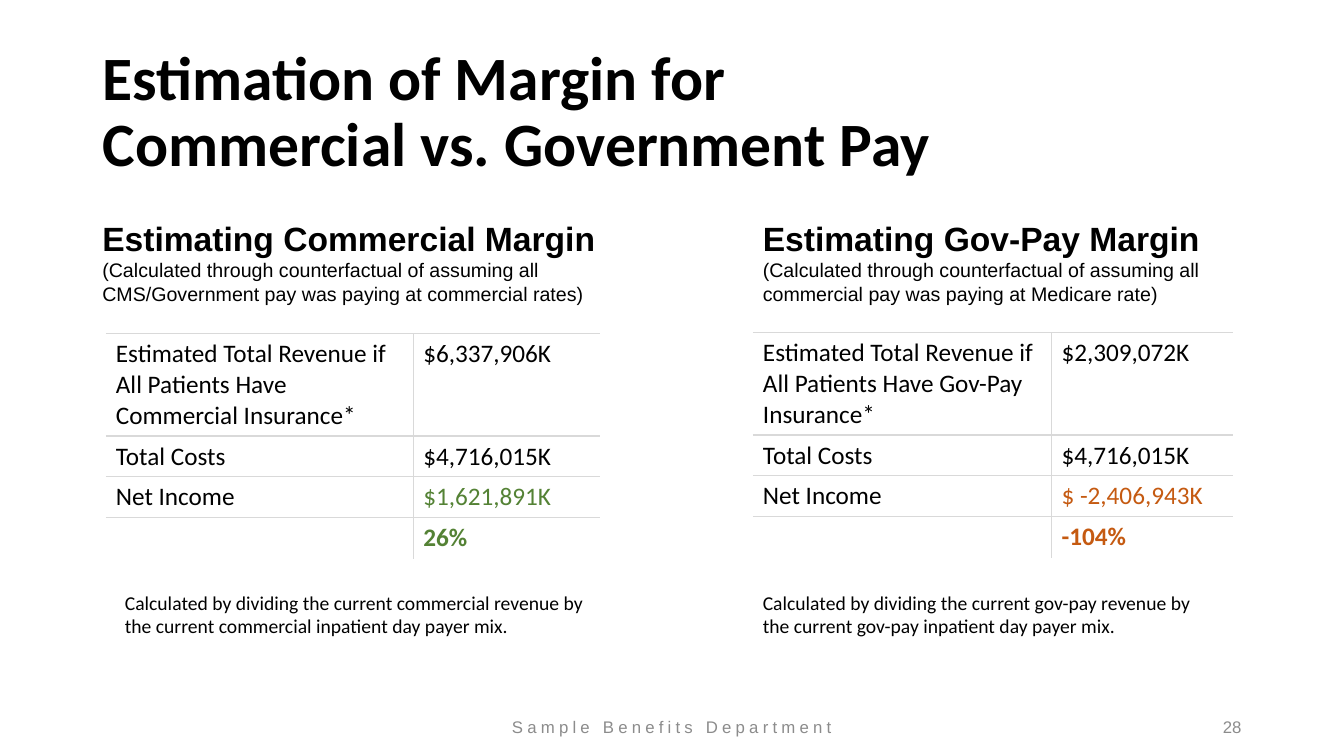
from dataclasses import dataclass

from lxml.etree import SubElement
from pptx import Presentation
from pptx.dml.color import RGBColor
from pptx.enum.text import MSO_ANCHOR as Anchor, MSO_AUTO_SIZE as AutoSize, PP_ALIGN as Align
from pptx.oxml.ns import qn
from pptx.slide import Slide
from pptx.util import Pt


@dataclass(frozen=True)
class Theme:
    heading_font: str = "Arial"
    body_font: str = "Calibri"
    ink: str = "000000"
    muted: str = "8C8C8C"
    rule: str = "D9D9D9"
    gain: str = "548235"
    loss: str = "C55A11"
    title_size: float = 44
    heading_size: float = 24
    table_size: float = 18
    note_size: float = 14
    footer_size: float = 12


THEME = Theme()


@dataclass(frozen=True)
class Area:
    left: float
    top: float
    width: float
    height: float

    def lengths(self) -> tuple:
        return Pt(self.left), Pt(self.top), Pt(self.width), Pt(self.height)


@dataclass(frozen=True)
class Line:
    text: str
    size: float
    font: str
    color: str = THEME.ink
    bold: bool = False


@dataclass(frozen=True)
class MarginPanel:
    heading: str
    method: str
    heading_area: Area
    revenue_label: str
    revenue: str
    net_income: str
    margin: str
    result_color: str
    table_area: Area
    label_width: float
    note: str
    note_area: Area


TITLE_AREA = Area(66, 28.8, 828, 104.4)
FOOTER_AREA = Area(318, 509.8, 324, 19.4)
NUMBER_AREA = Area(678, 509.8, 216, 19.4)
ROW_HEIGHTS = (72.8, 29.2, 29.2, 29.2)
TOTAL_COSTS = "$4,716,015K"

PANELS = (
    MarginPanel(
        heading="Estimating Commercial Margin",
        method="(Calculated through counterfactual of assuming all "
               "CMS/Government pay was paying at commercial rates)",
        heading_area=Area(66, 152, 373.6, 70.6),
        revenue_label="Estimated Total Revenue if All Patients Have Commercial Insurance*",
        revenue="$6,337,906K",
        net_income="$1,621,891K",
        margin="26%",
        result_color=THEME.gain,
        table_area=Area(75.6, 238.3, 353, 160.4),
        label_width=219.6,
        note="Calculated by dividing the current commercial revenue by "
             "the current commercial inpatient day payer mix.",
        note_area=Area(82.1, 418.4, 346.4, 41),
    ),
    MarginPanel(
        heading="Estimating Gov-Pay Margin",
        method="(Calculated through counterfactual of assuming all "
               "commercial pay was paying at Medicare rate)",
        heading_area=Area(537.8, 152, 343.4, 70.6),
        revenue_label="Estimated Total Revenue if All Patients Have Gov-Pay Insurance*",
        revenue="$2,309,072K",
        net_income="$ -2,406,943K",
        margin="-104%",
        result_color=THEME.loss,
        table_area=Area(537.8, 237.6, 343, 160.4),
        label_width=213.3,
        note="Calculated by dividing the current gov-pay revenue by "
             "the current gov-pay inpatient day payer mix.",
        note_area=Area(537.8, 418.4, 324, 41),
    ),
)


def write_line(para, line: Line, align: Align = Align.LEFT) -> None:
    para.text = line.text
    para.alignment = align
    para.font.size = Pt(line.size)
    para.font.name = line.font
    para.font.bold = line.bold
    para.font.color.rgb = RGBColor.from_string(line.color)


def add_text(page: Slide, area: Area, lines: list[Line],
             align: Align = Align.LEFT, anchor: Anchor = Anchor.TOP):
    frame = page.shapes.add_textbox(*area.lengths()).text_frame
    frame.word_wrap = True
    frame.auto_size = AutoSize.NONE
    frame.vertical_anchor = anchor
    for index, line in enumerate(lines):
        para = frame.add_paragraph() if index else frame.paragraphs[0]
        write_line(para, line, align)
    return frame


def set_borders(cell, drawn: set[str]) -> None:
    """Rule the sides named in drawn (L, R, T, B) and clear the others."""
    properties = cell._tc.get_or_add_tcPr()
    for side in "LRTB":
        edge = SubElement(properties, qn(f"a:ln{side}"), w=str(Pt(1)))
        if side in drawn:
            fill = SubElement(edge, qn("a:solidFill"))
            SubElement(fill, qn("a:srgbClr"), val=THEME.rule)
        else:
            SubElement(edge, qn("a:noFill"))


def add_margin_table(page: Slide, panel: MarginPanel) -> None:
    rows = (
        (panel.revenue_label, panel.revenue),
        ("Total Costs", TOTAL_COSTS),
        ("Net Income", panel.net_income),
        ("", panel.margin),
    )
    area = panel.table_area
    table = page.shapes.add_table(len(rows), 2, *area.lengths()).table
    table.first_row = table.horz_banding = False
    table.columns[0].width = Pt(panel.label_width)
    table.columns[1].width = Pt(area.width - panel.label_width)
    last = len(rows) - 1
    for row, texts in enumerate(rows):
        table.rows[row].height = Pt(ROW_HEIGHTS[row])
        for column, text in enumerate(texts):
            cell = table.cell(row, column)
            is_result = column == 1 and row >= 2
            color = panel.result_color if is_result else THEME.ink
            write_line(cell.text_frame.paragraphs[0],
                       Line(text, THEME.table_size, THEME.body_font, color, is_result and row == last))
            inner_side = "L" if column else "R"
            set_borders(cell, {"T", inner_side} | ({"B"} if row < last else set()))
            cell.fill.background()


def add_panel(page: Slide, panel: MarginPanel) -> None:
    add_text(page, panel.heading_area, [
        Line(panel.heading, THEME.heading_size, THEME.heading_font, bold=True),
        Line(panel.method, THEME.note_size, THEME.heading_font),
    ])
    add_margin_table(page, panel)
    add_text(page, panel.note_area, [Line(panel.note, THEME.note_size, THEME.body_font)])


def add_title(page: Slide) -> None:
    title = page.shapes.title
    title.left, title.top, title.width, title.height = TITLE_AREA.lengths()
    frame = title.text_frame
    frame.word_wrap = True
    frame.auto_size = AutoSize.NONE
    frame.vertical_anchor = Anchor.MIDDLE
    para = frame.paragraphs[0]
    write_line(para, Line("Estimation of Margin for\vCommercial vs. Government Pay",
                          THEME.title_size, THEME.body_font, bold=True))
    para.line_spacing = 0.9


def add_footer(page: Slide) -> None:
    def footer_line(text: str) -> Line:
        return Line(text, THEME.footer_size, THEME.heading_font, THEME.muted)

    frame = add_text(page, FOOTER_AREA, [footer_line("Sample Benefits Department")],
                     Align.CENTER, Anchor.MIDDLE)
    span = frame.paragraphs[0].runs[0]
    span._r.get_or_add_rPr().set("spc", "300")
    add_text(page, NUMBER_AREA, [footer_line("28")], Align.RIGHT, Anchor.MIDDLE)


def main() -> None:
    deck = Presentation()
    deck.slide_width, deck.slide_height = Pt(960), Pt(540)
    page = deck.slides.add_slide(deck.slide_layouts.get_by_name("Title Only"))
    add_title(page)
    add_footer(page)
    for panel in PANELS:
        add_panel(page, panel)
    deck.save("out.pptx")


if __name__ == "__main__":
    main()
